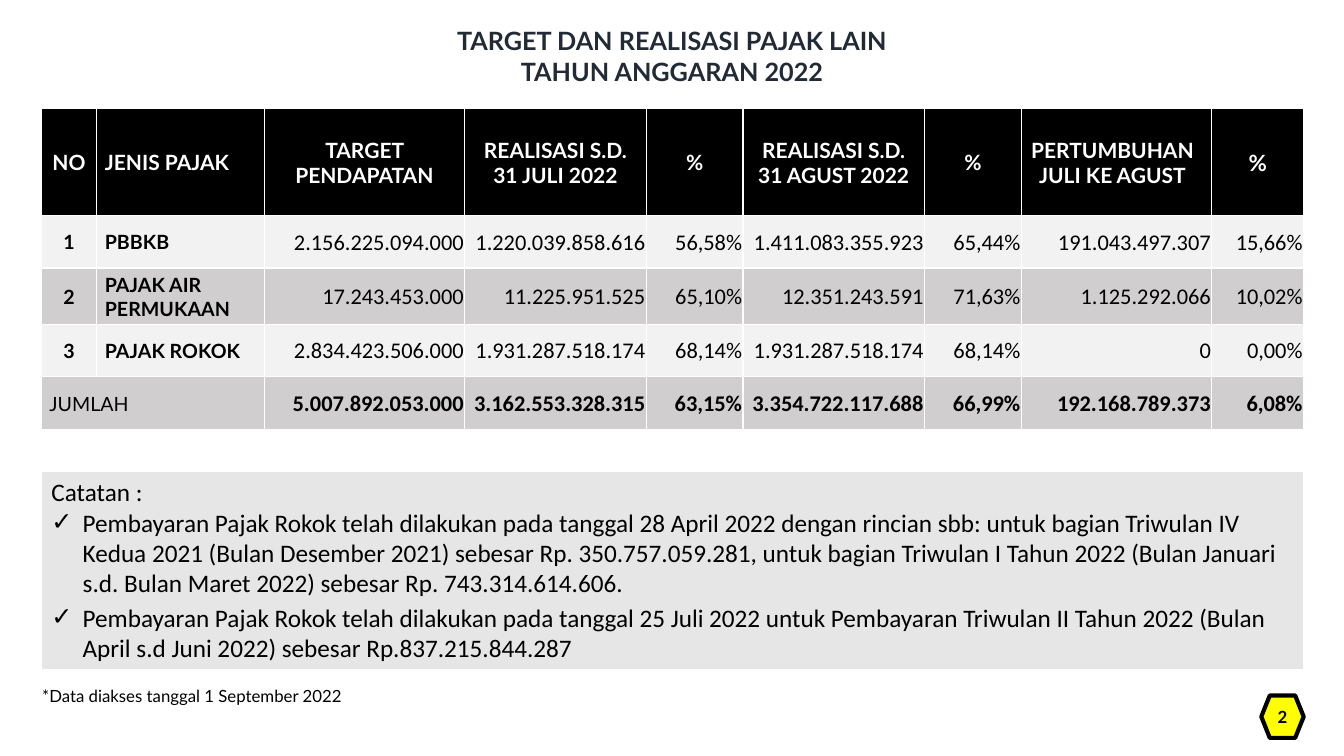
"""Build the slide on targets and receipts of other taxes."""
from lxml.etree import SubElement as Sub
from pptx import Presentation
from pptx.dml.color import RGBColor
from pptx.enum.shapes import MSO_SHAPE as Shape
from pptx.enum.text import MSO_ANCHOR as Anchor, MSO_AUTO_SIZE as Fit, PP_ALIGN as Align
from pptx.oxml.ns import qn
from pptx.util import Inches, Pt

BLACK = RGBColor(0x00, 0x00, 0x00)
WHITE = RGBColor(0xFF, 0xFF, 0xFF)
NAVY = RGBColor(0x22, 0x2A, 0x35)
LIGHT = RGBColor(0xF2, 0xF2, 0xF2)
DARK = RGBColor(0xD0, 0xCE, 0xCE)
PANEL = RGBColor(0xE7, 0xE6, 0xE6)
YELLOW = RGBColor(0xFF, 0xFF, 0x00)

LEFT, WIDTH = 0.41, 12.52
COLS = [0.55, 1.66, 1.99, 1.8, 0.96, 1.8, 0.96, 1.89, 0.91]
ROWS = [1.06, 0.52, 0.56, 0.52, 0.52]
HEAD = ["NO", "JENIS PAJAK", "TARGET PENDAPATAN", "REALISASI S.D.\n31 JULI 2022", "%",
        "REALISASI S.D.\n31 AGUST 2022", "%", "PERTUMBUHAN\nJULI KE AGUST", "%"]
TAXES = [
    ["1", "PBBKB", "2.156.225.094.000", "1.220.039.858.616", "56,58%",
     "1.411.083.355.923", "65,44%", "191.043.497.307", "15,66%"],
    ["2", "PAJAK AIR PERMUKAAN", "17.243.453.000", "11.225.951.525", "65,10%",
     "12.351.243.591", "71,63%", "1.125.292.066", "10,02%"],
    ["3", "PAJAK ROKOK", "2.834.423.506.000", "1.931.287.518.174", "68,14%",
     "1.931.287.518.174", "68,14%", "0", "0,00%"],
    ["JUMLAH", "", "5.007.892.053.000", "3.162.553.328.315", "63,15%",
     "3.354.722.117.688", "66,99%", "192.168.789.373", "6,08%"],
]
NOTES = [
    "Catatan :",
    "Pembayaran Pajak Rokok telah dilakukan pada tanggal 28 April 2022 dengan rincian sbb: "
    "untuk bagian Triwulan IV Kedua 2021 (Bulan Desember 2021) sebesar Rp. 350.757.059.281, "
    "untuk bagian Triwulan I Tahun 2022 (Bulan Januari s.d. Bulan Maret 2022) sebesar "
    "Rp. 743.314.614.606.",
    "Pembayaran Pajak Rokok telah dilakukan pada tanggal 25 Juli 2022 untuk Pembayaran "
    "Triwulan II Tahun 2022 (Bulan April s.d Juni 2022) sebesar Rp.837.215.844.287",
]


def place(shape, left, top, width, height):
    shape.left, shape.top = Inches(left), Inches(top)
    shape.width, shape.height = Inches(width), Inches(height)


def write(frame, text, size, color=BLACK, face="Lato", bold=False, align=Align.LEFT):
    frame.text = text
    for para in frame.paragraphs:
        para.alignment = align
        for run in para.runs:
            font = run.font
            font.size, font.name, font.bold = Pt(size), face, bold
            font.color.rgb = color


def inset(box, left, top, right, bottom):
    box.margin_left, box.margin_top = Inches(left), Inches(top)
    box.margin_right, box.margin_bottom = Inches(right), Inches(bottom)


def border(cell):
    props = cell._tc.get_or_add_tcPr()
    for side in ("lnL", "lnR", "lnT", "lnB"):
        line = Sub(props, qn("a:" + side), w=str(Pt(1)))
        Sub(Sub(line, qn("a:solidFill")), qn("a:srgbClr"), val=str(WHITE))


def style(cell, text, row, col):
    head, total, value = row == 0, row == len(TAXES), col > 1
    border(cell)
    cell.fill.solid()
    cell.fill.fore_color.rgb = BLACK if head else LIGHT if row % 2 else DARK
    cell.vertical_anchor = Anchor.MIDDLE
    if head:
        inset(cell, 0 if col == 7 else 0.08, 0.01, 0.08, 0)
        align = Align.LEFT if col == 1 else Align.CENTER
        write(cell.text_frame, text, 16 if col == 8 else 15, WHITE, bold=True, align=align)
    elif value:
        inset(cell, 0.01, 0.01, 0.01, 0)
        write(cell.text_frame, text, 16, face="Calibri", bold=total, align=Align.RIGHT)
    else:
        inset(cell, 0.08, 0.01, 0.08, 0)
        align = Align.CENTER if col == 0 and not total else Align.LEFT
        write(cell.text_frame, text, 14, bold=not total, align=align)


def add_grid(slide):
    frame = slide.shapes.add_table(len(ROWS), len(COLS), Inches(LEFT), Inches(1.08),
                                   Inches(WIDTH), Inches(sum(ROWS)))
    table = frame.table
    table.first_row = table.horz_banding = False
    for col, width in zip(table.columns, COLS):
        col.width = Inches(width)
    for row, height in zip(table.rows, ROWS):
        row.height = Inches(height)
    for r, line in enumerate([HEAD] + TAXES):
        for c, text in enumerate(line):
            style(table.cell(r, c), text, r, c)
    last = len(TAXES)
    table.cell(last, 0).merge(table.cell(last, 1))


def add_title(slide):
    title = slide.shapes.title
    place(title, 0, 0, 13.33, 1.11)
    frame = title.text_frame
    frame.vertical_anchor, frame.auto_size = Anchor.MIDDLE, Fit.NONE
    write(frame, "TARGET DAN REALISASI PAJAK LAIN\nTAHUN ANGGARAN 2022", 18, NAVY,
          bold=True, align=Align.CENTER)


def add_notes(slide):
    body = slide.placeholders[1]
    place(body, LEFT, 4.68, WIDTH, 1.96)
    body.fill.solid()
    body.fill.fore_color.rgb = PANEL
    body.line.color.rgb, body.line.width = WHITE, Pt(0.75)
    frame = body.text_frame
    frame.auto_size = Fit.NONE
    write(frame, "\n".join(NOTES), 18, face="Calibri")
    for i, para in enumerate(frame.paragraphs):
        props = para._p.get_or_add_pPr()
        dent = Inches(0.31) if i else 0
        props.set("marL", str(dent))
        props.set("indent", str(-dent))
        if i:
            Sub(props, qn("a:buChar"), char="✓")
        else:
            Sub(props, qn("a:buNone"))
        para.space_before = Pt(0)
        para.space_after = Pt(3 if i == 1 else 0)


def add_source(slide):
    box = slide.shapes.add_textbox(Inches(0.32), Inches(6.75), Inches(4), Inches(0.3))
    box.text_frame.word_wrap = True
    write(box.text_frame, "*Data diakses tanggal 1 September 2022", 12)


def add_badge(slide):
    badge = slide.shapes.add_shape(Shape.FLOWCHART_PREPARATION, Inches(12.51), Inches(6.9),
                                   Inches(0.42), Inches(0.42))
    badge.shadow.inherit = False
    badge.fill.solid()
    badge.fill.fore_color.rgb = YELLOW
    badge.line.color.rgb, badge.line.width = BLACK, Pt(3)
    frame = badge.text_frame
    inset(frame, 0, 0, 0, 0)
    frame.vertical_anchor = Anchor.MIDDLE
    write(frame, "2", 12, bold=True, align=Align.CENTER)


def main():
    deck = Presentation()
    deck.slide_width, deck.slide_height = Inches(13.33), Inches(7.5)
    slide = deck.slides.add_slide(deck.slide_layouts[1])
    for add in (add_grid, add_title, add_source, add_badge, add_notes):
        add(slide)
    deck.save("out.pptx")


if __name__ == "__main__":
    main()
